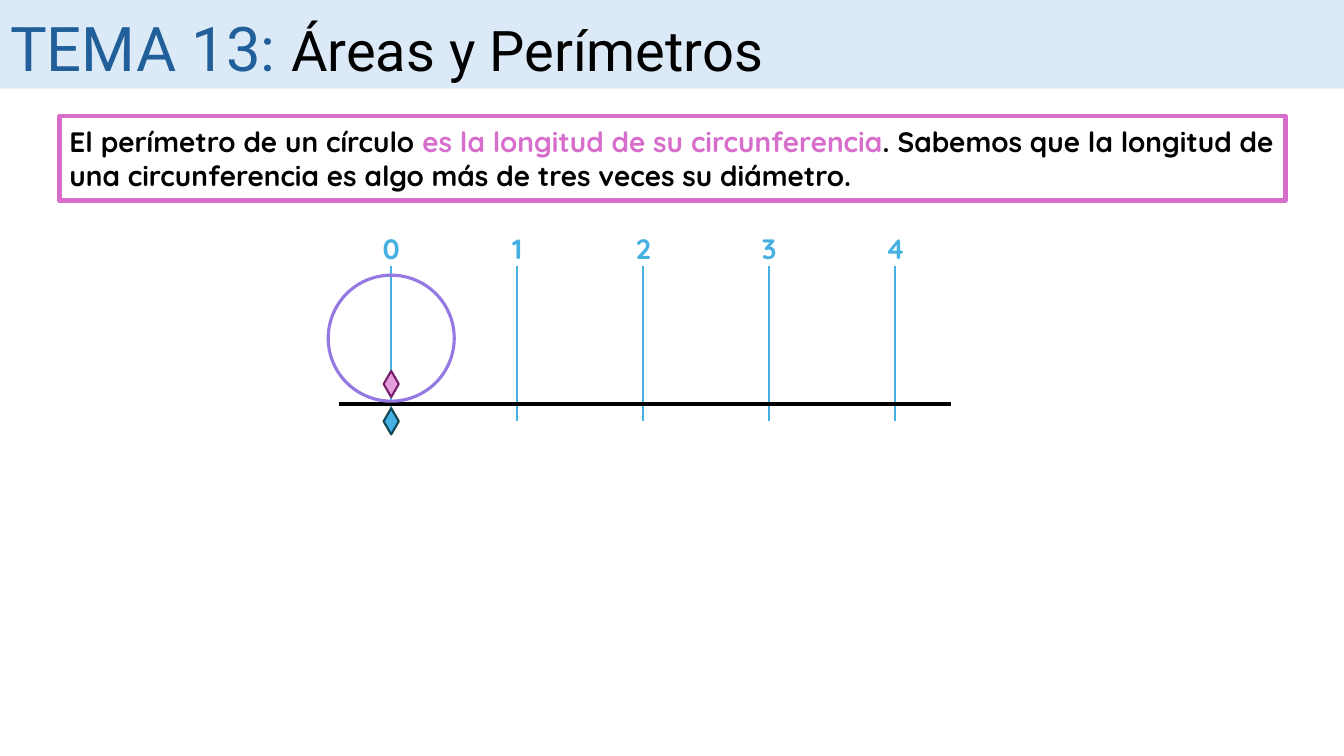
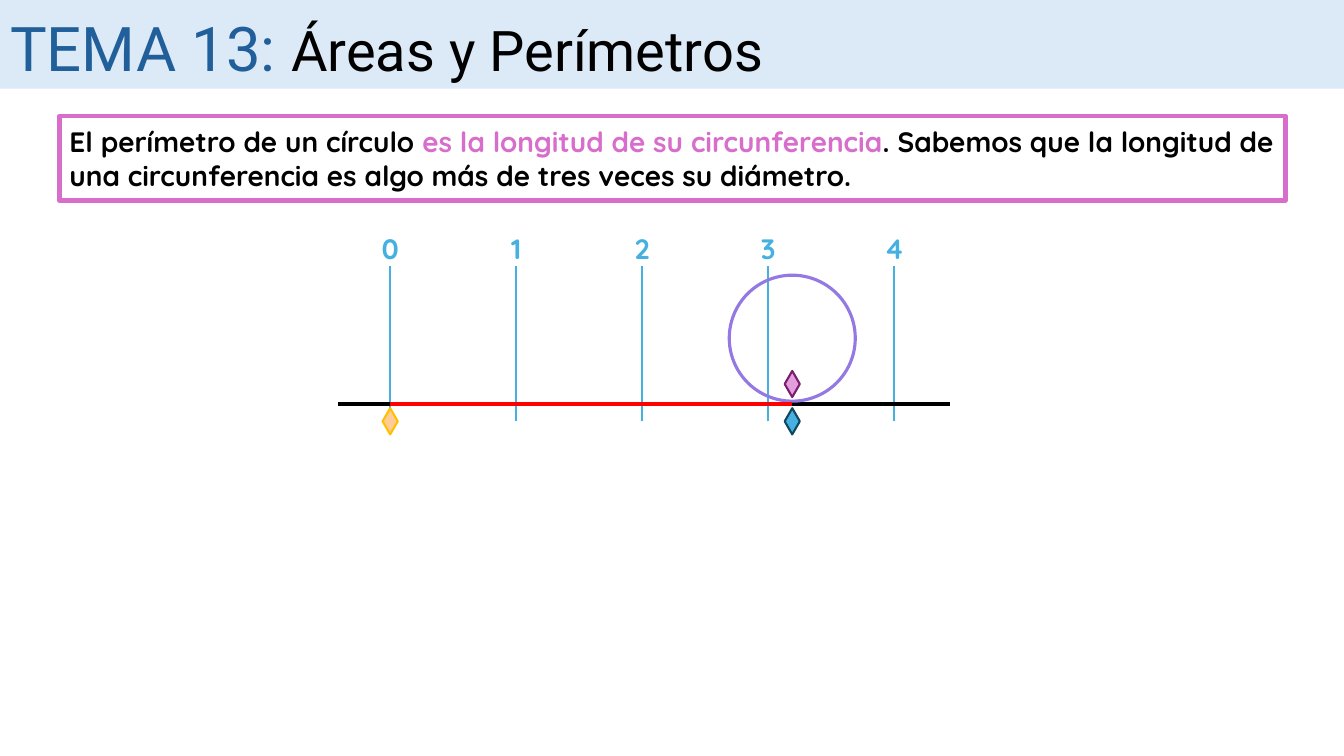
"""Build two slides that roll a circle along a number line to show its perimeter."""
import dataclasses

import pptx
import pptx.dml.color
import pptx.enum.shapes
import pptx.enum.text
import pptx.oxml
import pptx.util

Inches, Pt = pptx.util.Inches, pptx.util.Pt
SHAPE = pptx.enum.shapes.MSO_SHAPE
ALIGN = pptx.enum.text.PP_ALIGN


@dataclasses.dataclass(frozen=True)
class Theme:
    """Colours, fonts and type sizes shared by the slides."""
    band: str = "DCEAF7"
    title: str = "215F9A"
    ink: str = "000000"
    accent: str = "D86ECC"
    scale: str = "46B1E1"
    circle: str = "9579E3"
    trace: str = "FF0000"
    start: tuple = ("FFCC99", "FFC000")
    rolling: tuple = ("E59EDD", "78206E")
    contact: tuple = ("46B1E1", "104862")
    title_font: str = "Roboto"
    body_font: str = "Quicksand"
    topic_size: int = 44
    title_size: int = 40
    body_size: int = 20


T = Theme()
W, H = 13.33, 7.5
TITLE = [("TEMA 13: ", T.topic_size, T.title), ("Áreas y Perímetros", T.title_size, T.ink)]
DEFINITION = [
    ("El perímetro de un círculo ", T.body_size, T.ink),
    ("es la longitud de su circunferencia", T.body_size, T.accent),
    (". Sabemos que la longitud de una circunferencia es algo más de tres veces su diámetro.",
     T.body_size, T.ink),
]
MARKS = ["0", "1", "2", "3", "4"]
STAGES = [{"zero": 3.88, "rolled": 0}, {"zero": 3.87, "rolled": 3.19}]

DIAMETER = 1.25
BASE_Y = 4.01
TICK = (2.64, 4.18)
LABEL = (2.25, 0.41, 0.44)
BASE_X = (-0.52, 5.55)
CIRCLE_Y = 2.73
DIAMOND = (0.15, 0.26)
UPPER_Y, LOWER_Y = 3.68, 4.05


def rgb(value):
    """Turn a hex string into a colour."""
    return pptx.dml.color.RGBColor.from_string(value)


def write(tf, runs, font, bold=False, align=ALIGN.LEFT):
    """Write one paragraph, run by run."""
    tf.word_wrap = True
    p = tf.paragraphs[0]
    p.alignment = align
    for text, size, color in runs:
        r = p.add_run()
        r.text = text
        r.font.name, r.font.size, r.font.bold = font, Pt(size), bold
        r.font.color.rgb = rgb(color)


def add_shape(shapes, kind, box, fill=None, line=None, width=1.5):
    """Add a flat preset shape."""
    sp = shapes.add_shape(kind, *map(Inches, box))
    sp.shadow.inherit = False
    if fill:
        sp.fill.solid()
        sp.fill.fore_color.rgb = rgb(fill)
    else:
        sp.fill.background()
    if line:
        sp.line.color.rgb = rgb(line)
        sp.line.width = Pt(width)
    else:
        sp.line.fill.background()
    return sp


def add_line(s, start, end, color, width):
    """Add a straight line without a shadow."""
    c = s.shapes.add_connector(pptx.enum.shapes.MSO_CONNECTOR.STRAIGHT,
                               *map(Inches, start + end))
    c.line.color.rgb = rgb(color)
    c.line.width = Pt(width)
    c._element.spPr.append(pptx.oxml.parse_xml(
        '<a:effectLst xmlns:a="http://schemas.openxmlformats.org/drawingml/2006/main"/>'))


def add_diamond(shapes, x, y, colors):
    """Add a diamond marker centred on x."""
    w, h = DIAMOND
    add_shape(shapes, SHAPE.DIAMOND, (x - w / 2, y, w, h), *colors)


def add_header(s):
    """Add the title band, the title and the framed definition."""
    band = add_shape(s.shapes, SHAPE.RECTANGLE, (0, 0, W, 0.88), T.band)
    title = s.shapes.title
    title._element.addprevious(band._element)
    title.left, title.top, title.width, title.height = map(Inches, (0, 0.04, 11.85, 0.84))
    title.text_frame.auto_size = pptx.enum.text.MSO_AUTO_SIZE.NONE
    write(title.text_frame, TITLE, T.title_font)
    frame = add_shape(s.shapes, SHAPE.RECTANGLE, (0.59, 1.15, 12.16, 0.84), None, T.accent, 3)
    write(frame.text_frame, DEFINITION, T.body_font, True)


def add_scale(s, zero):
    """Add the number line, one unit per diameter."""
    top, w, h = LABEL
    for i, mark in enumerate(MARKS):
        x = zero + i * DIAMETER
        add_line(s, (x, TICK[1]), (x, TICK[0]), T.scale, 1.5)
        tb = s.shapes.add_textbox(*map(Inches, (x - w / 2, top, w, h)))
        write(tb.text_frame, [(mark, T.body_size, T.scale)], T.body_font, True, ALIGN.CENTER)
    left, right = (zero + offset for offset in BASE_X)
    add_line(s, (left, BASE_Y), (right, BASE_Y), T.ink, 3)


def add_wheel(s, zero, rolled):
    """Add the circle, its markers and the distance it has rolled."""
    x = zero + rolled * DIAMETER
    add_diamond(s.shapes, zero, LOWER_Y, T.start)
    wheel = s.shapes.add_group_shape().shapes
    add_shape(wheel, SHAPE.OVAL, (x - DIAMETER / 2, CIRCLE_Y, DIAMETER, DIAMETER),
              None, T.circle, 2.25)
    add_diamond(wheel, x, UPPER_Y, T.rolling)
    add_diamond(s.shapes, x, LOWER_Y, T.contact)
    add_line(s, (zero, BASE_Y), (x, BASE_Y), T.trace, 3)


def main():
    """Build and save the presentation."""
    prs = pptx.Presentation()
    prs.slide_width, prs.slide_height = Inches(W), Inches(H)
    for stage in STAGES:
        s = prs.slides.add_slide(prs.slide_layouts[5])
        add_header(s)
        add_scale(s, stage["zero"])
        add_wheel(s, **stage)
    prs.save("out.pptx")


if __name__ == "__main__":
    main()
